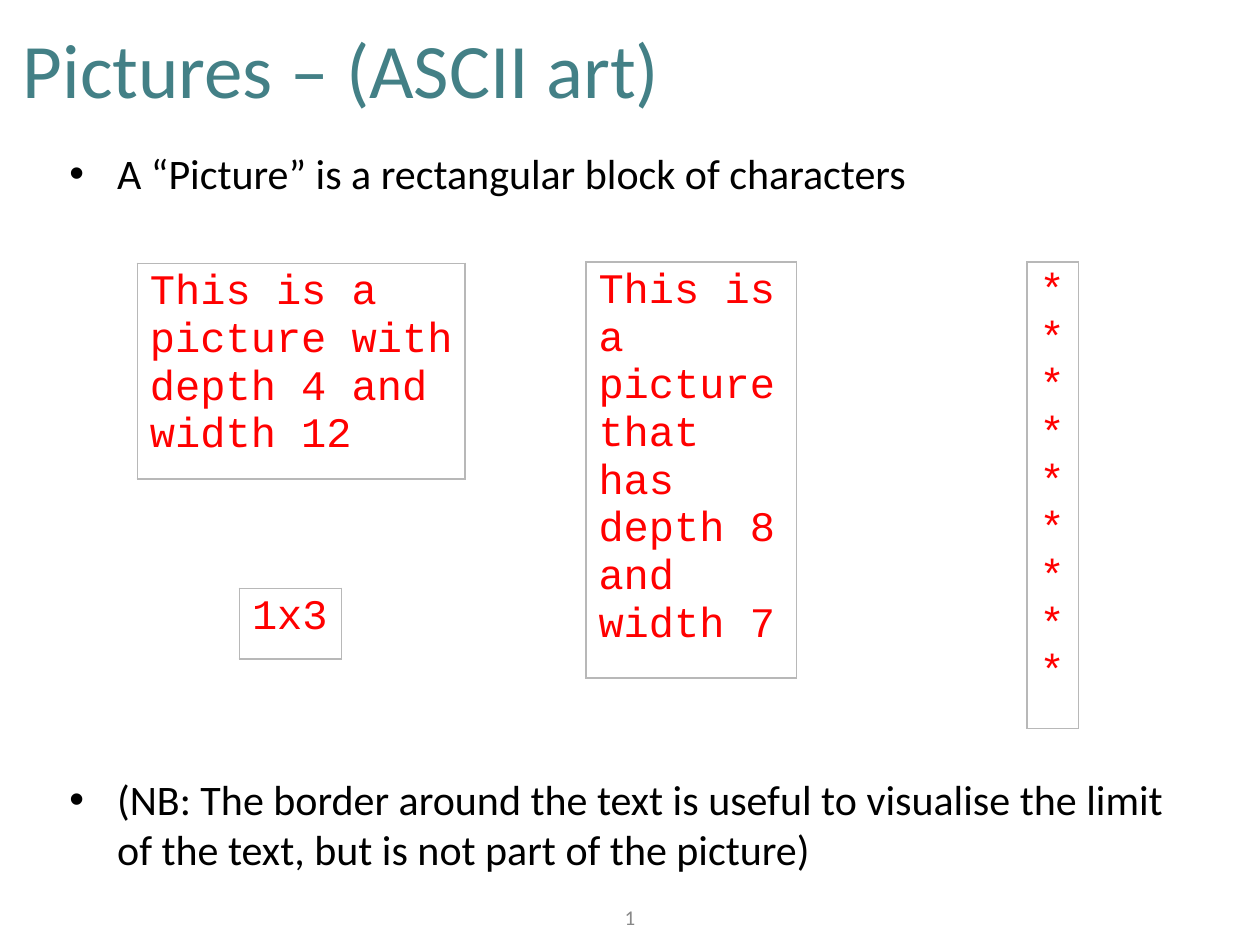
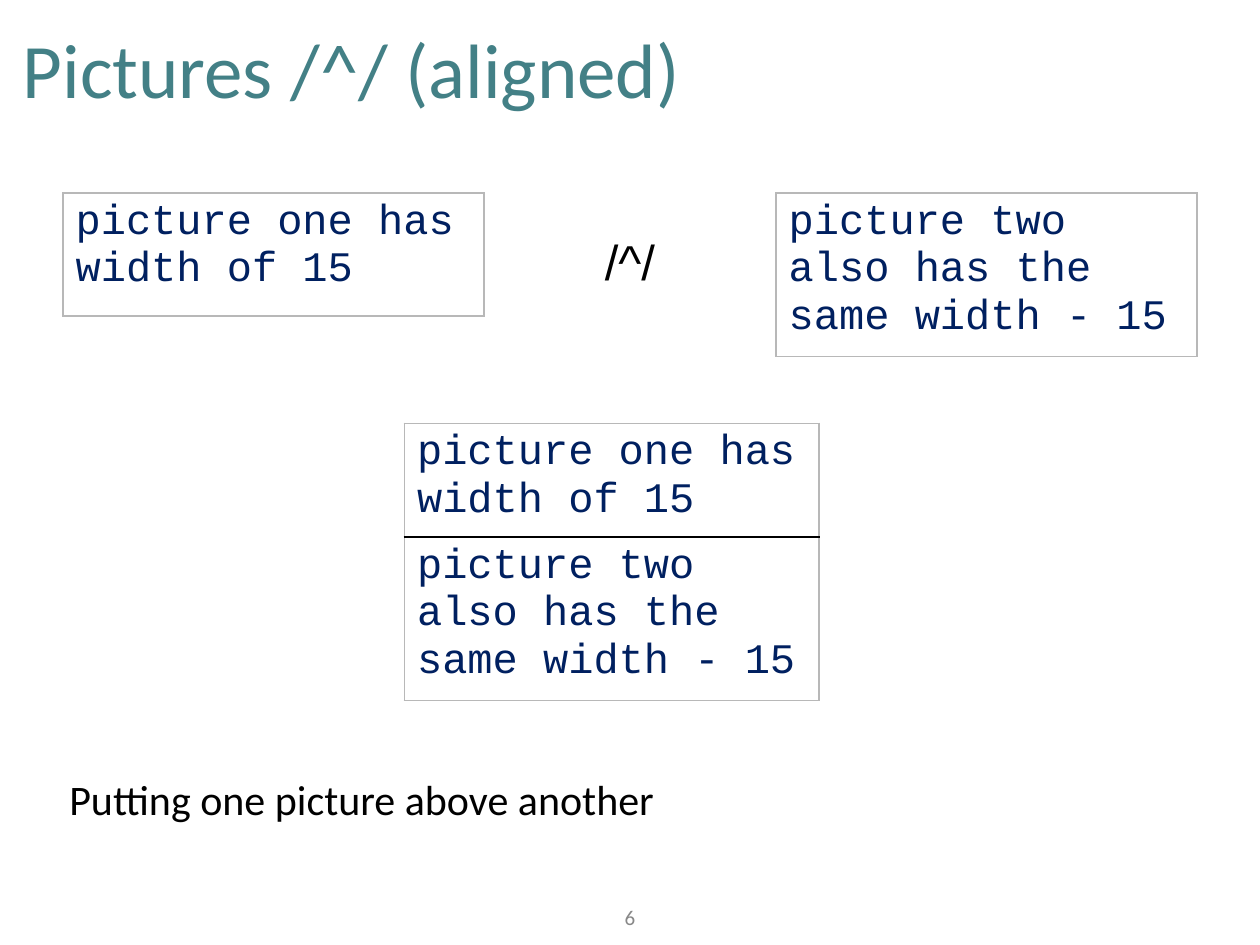
from lxml.etree import SubElement
from pptx import Presentation
from pptx.dml.color import RGBColor
from pptx.enum.text import MSO_ANCHOR, MSO_AUTO_SIZE, PP_ALIGN
from pptx.oxml.ns import qn
from pptx.util import Inches, Pt

WIDTH, HEIGHT = 10, 7.5
TEAL, BLACK, GREY, RED, NAVY, BORDER = (
    "438086", "000000", "888888", "FF0000", "002060", "B8B8B8")
TITLE_FRAME = (0.13, 0.1, WIDTH - 0.26, 0.87)
BODY_FRAME = (0.5, 1.12, WIDTH - 1, HEIGHT - 1.12)
NUMBER_SIZE = 0.29
INSET = 0.05
BODY_SIZE = 24
INDENT = 0.38
NOTE_DROP = 4.97  # from the first body line down to the closing note
LINE_HEIGHT = 1.22

# Each picture: left, top, width, row heights, row texts
SLIDES = [
    {
        "title": "Pictures – (ASCII art)",
        "number": "1",
        "bullets": True,
        "intro": "A “Picture” is a rectangular block of characters",
        "note": "(NB: The border around the text is useful to visualise the "
                "limit of the text, but is not part of the picture)",
        "color": RED,
        "pictures": [
            (1.09, 2.09, 2.6, [1.71],
             ["This is a picture with depth 4 and width 12"]),
            (1.9, 4.67, 0.81, [0.56], ["1x3"]),
            (4.65, 2.08, 1.67, [3.13],
             ["This is a picture that has depth 8 and width 7"]),
            (8.15, 2.08, 0.41, [3.61], ["*" * 9]),
        ],
        "operator": None,
    },
    {
        "title": "Pictures /^/ (aligned)",
        "number": "6",
        "bullets": False,
        "intro": None,
        "note": "Putting one picture above another",
        "color": NAVY,
        "pictures": [
            (3.21, 3.36, 3.29, [0.85, 1.25],
             ["picture one has width of 15",
              "picture two also has the same width - 15"]),
            (0.5, 1.53, 3.34, [0.98], ["picture one has width of 15"]),
            (6.16, 1.53, 3.34, [1.24],
             ["picture two also has the same width - 15"]),
        ],
        "operator": "/^/",
    },
]


def rgb(value):
    """Turn a hex string into a colour."""
    return RGBColor.from_string(value)


def place(shape, frame):
    """Move a shape to left, top, width, height in inches."""
    shape.left, shape.top, shape.width, shape.height = map(Inches, frame)


def add_run(para, text, size, color, font="Calibri"):
    """Append one formatted run to a paragraph."""
    span = para.add_run()
    span.text = text
    span.font.size = Pt(size)
    span.font.name = font
    span.font.color.rgb = rgb(color)


def set_insets(frame):
    """Give a text frame the same small inset on every side."""
    frame.margin_left = frame.margin_right = Inches(INSET)
    frame.margin_top = frame.margin_bottom = Inches(INSET)


def set_bullet(para, shown):
    """Show a hanging bullet, or remove bullet and indent."""
    props = para._p.get_or_add_pPr()
    indent = Inches(INDENT) if shown else 0
    props.set("marL", str(indent))
    props.set("indent", str(-indent))
    if shown:
        SubElement(props, qn("a:buFont")).set("typeface", "Arial")
        SubElement(props, qn("a:buChar")).set("char", "•")
    else:
        SubElement(props, qn("a:buNone"))


def add_title(page, text):
    """Fill the title placeholder."""
    box = page.shapes.title
    place(box, TITLE_FRAME)
    frame = box.text_frame
    set_insets(frame)
    frame.auto_size = MSO_AUTO_SIZE.NONE
    frame.vertical_anchor = MSO_ANCHOR.MIDDLE
    para = frame.paragraphs[0]
    para.alignment = PP_ALIGN.LEFT
    add_run(para, text, 44, TEAL)


def add_body(page, intro, note, bullets):
    """Fill the body: an optional intro, and a note near the foot."""
    box = page.placeholders[1]
    place(box, BODY_FRAME)
    frame = box.text_frame
    set_insets(frame)
    frame.auto_size = MSO_AUTO_SIZE.NONE
    frame.vertical_anchor = MSO_ANCHOR.TOP
    para = frame.paragraphs[0]
    para.space_before = Pt(0)
    if intro:
        set_bullet(para, bullets)
        add_run(para, intro, BODY_SIZE, BLACK)
        para = frame.add_paragraph()
        para.space_before = Pt(round(NOTE_DROP * 72 - BODY_SIZE * LINE_HEIGHT))
    else:
        frame.margin_top = Inches(INSET + NOTE_DROP)
    set_bullet(para, bullets)
    add_run(para, note, BODY_SIZE, BLACK)


def add_label(page, frame, text, size, color, font="Calibri"):
    """Add a centred, unwrapped text box."""
    box = page.shapes.add_textbox(*map(Inches, frame))
    box.text_frame.word_wrap = False
    para = box.text_frame.paragraphs[0]
    para.alignment = PP_ALIGN.CENTER
    add_run(para, text, size, color, font)
    return box.text_frame


def set_borders(cell, top, bottom):
    """Draw the four cell borders; the sides are grey."""
    props = cell._tc.get_or_add_tcPr()
    edges = (("L", BORDER), ("R", BORDER), ("T", top), ("B", bottom))
    for edge, color in edges:
        line = SubElement(props, qn(f"a:ln{edge}"), w=str(Pt(1)))
        fill = SubElement(line, qn("a:solidFill"))
        SubElement(fill, qn("a:srgbClr"), val=color)


def add_picture_table(page, left, top, width, heights, texts, color):
    """Add a one-column table that frames blocks of characters."""
    rows = len(texts)
    area = map(Inches, (left, top, width, sum(heights)))
    table = page.shapes.add_table(rows, 1, *area).table
    table.first_row = table.horz_banding = False
    for index, (height, text) in enumerate(zip(heights, texts)):
        table.rows[index].height = Inches(height)
        cell = table.cell(index, 0)
        set_borders(cell, BLACK if index else BORDER,
                    BLACK if index < rows - 1 else BORDER)
        cell.fill.background()
        add_run(cell.text_frame.paragraphs[0], text, 24, color, "Courier New")


def add_page(deck, content):
    """Build one slide from its content."""
    page = deck.slides.add_slide(deck.slide_layouts[1])
    add_title(page, content["title"])
    add_body(page, content["intro"], content["note"], content["bullets"])
    number_frame = ((WIDTH - NUMBER_SIZE) / 2, 7.13, NUMBER_SIZE, NUMBER_SIZE)
    frame = add_label(page, number_frame, content["number"], 12, GREY)
    set_insets(frame)
    frame.vertical_anchor = MSO_ANCHOR.MIDDLE
    for picture in content["pictures"]:
        add_picture_table(page, *picture, content["color"])
    if content["operator"]:
        add_label(page, ((WIDTH - 0.6) / 2, 1.79, 0.6, 0.57),
                  content["operator"], 28, BLACK, "Arial")


deck = Presentation()
deck.slide_width, deck.slide_height = Inches(WIDTH), Inches(HEIGHT)
for content in SLIDES:
    add_page(deck, content)
deck.save("out.pptx")
